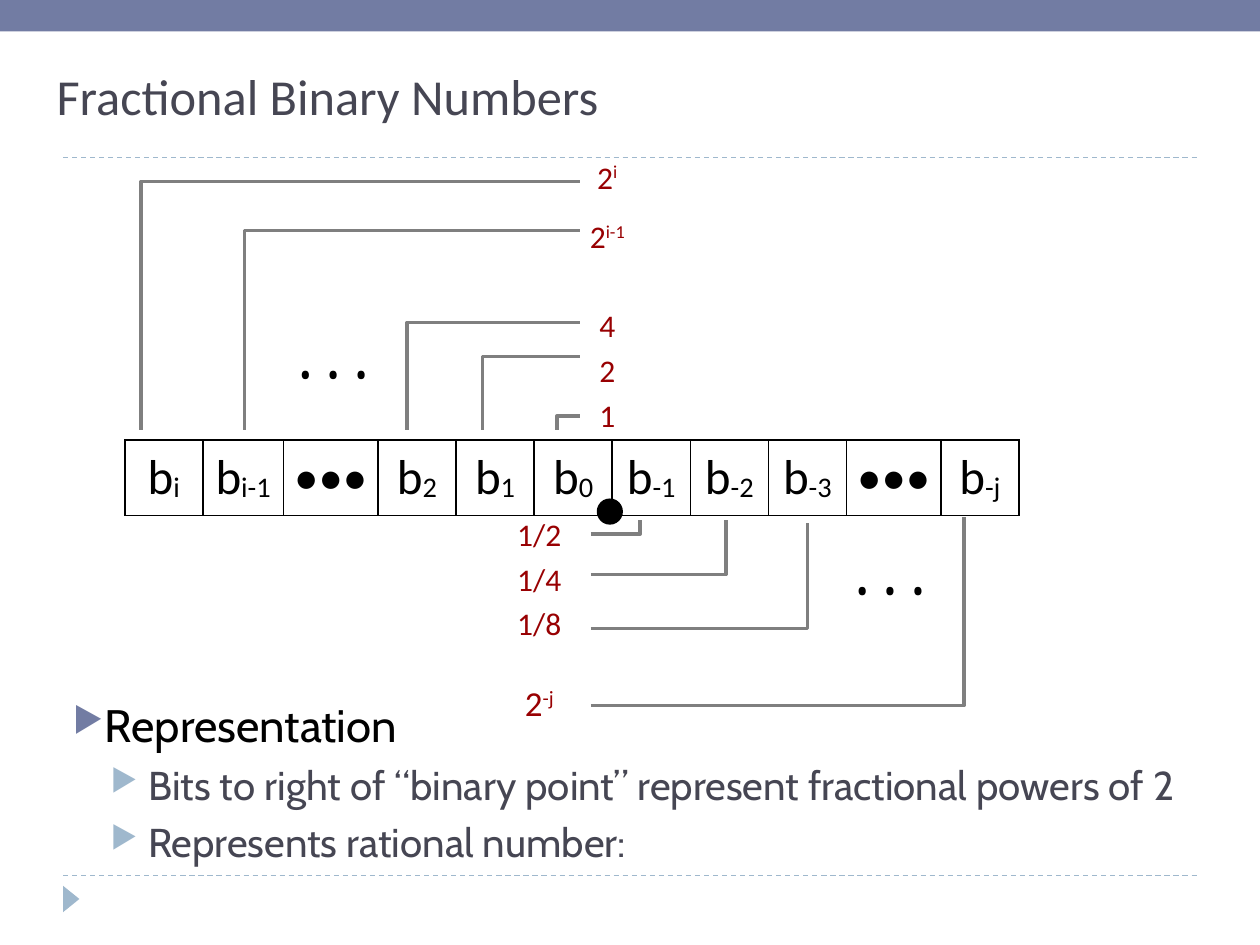
import dataclasses
from typing import Optional

import pptx
import pptx.dml.color
import pptx.enum.dml
import pptx.enum.shapes
import pptx.enum.text
import pptx.oxml
import pptx.oxml.ns
import pptx.util

Inches = pptx.util.Inches
Pt = pptx.util.Pt
RGBColor = pptx.dml.color.RGBColor
Shape = pptx.enum.shapes.MSO_SHAPE
Anchor = pptx.enum.text.MSO_ANCHOR
qn = pptx.oxml.ns.qn

BLACK = RGBColor(0x00, 0x00, 0x00)
WHITE = RGBColor(0xFF, 0xFF, 0xFF)
RED = RGBColor(0x98, 0x00, 0x02)
GRAY = RGBColor(0x7F, 0x7F, 0x7F)
SLATE = RGBColor(0x46, 0x46, 0x53)
INDIGO = RGBColor(0x72, 0x7C, 0xA3)
SKY = RGBColor(0x9F, 0xB8, 0xCD)


@dataclasses.dataclass
class Label:
    main: str = ""
    script: str = ""
    size: float = 18


@dataclasses.dataclass
class Grid:
    left: float
    top: float
    columns: list[float]
    rows: list[float]
    labels: list[Label]
    color: RGBColor
    border: RGBColor
    inset: float
    baseline: int


@dataclasses.dataclass
class Bullet:
    text: str
    size: float
    color: RGBColor
    marker: RGBColor
    margin: float
    indent: float
    before: float
    level: int


deck = pptx.Presentation()
deck.slide_width, deck.slide_height = Inches(10), Inches(7.5)
page = deck.slides.add_slide(deck.slide_layouts[6])


def xml(markup: str):
    return pptx.oxml.parse_xml(markup.replace(
        " ", ' xmlns:a="http://schemas.openxmlformats.org/drawingml/2006/main" ', 1))


def style(span, face: str, size: float, color: RGBColor) -> None:
    span.font.name, span.font.size = face, Pt(size)
    span.font.color.rgb = color


def add_rule(y: float) -> None:
    rule = page.shapes.add_connector(
        pptx.enum.shapes.MSO_CONNECTOR.STRAIGHT, Inches(0.5), Inches(y), Inches(9.5), Inches(y))
    rule.line.color.rgb, rule.line.width = SKY, Pt(0.75)
    rule.line.dash_style = pptx.enum.dml.MSO_LINE.DASH
    rule._element.spPr.append(xml("<a:effectLst />"))


def add_solid(kind, left: float, top: float, width: float, height: float,
              color: RGBColor, rotation: float = 0):
    shape = page.shapes.add_shape(kind, Inches(left), Inches(top), Inches(width), Inches(height))
    shape.shadow.inherit = False
    shape.fill.solid()
    shape.fill.fore_color.rgb = color
    shape.line.fill.background()
    shape.rotation = rotation
    return shape


def add_borders(cell, color: RGBColor) -> None:
    for index, side in enumerate(("lnL", "lnR", "lnT", "lnB")):
        cell._tc.get_or_add_tcPr().insert(index, xml(
            f'<a:{side} w="12700"><a:solidFill><a:srgbClr val="{color}"/>'
            f"</a:solidFill></a:{side}>"))


def add_grid(grid: Grid) -> None:
    table = page.shapes.add_table(
        len(grid.rows), len(grid.columns), Inches(grid.left), Inches(grid.top),
        Inches(sum(grid.columns)), Inches(sum(grid.rows))).table
    table.first_row = table.horz_banding = False
    for column, width in zip(table.columns, grid.columns):
        column.width = Inches(width)
    for row, height in zip(table.rows, grid.rows):
        row.height = Inches(height)
    for cell, label in zip(table.iter_cells(), grid.labels):
        cell.margin_left = cell.margin_right = Inches(grid.inset)
        cell.margin_top = cell.margin_bottom = Inches(grid.inset)
        cell.vertical_anchor = Anchor.MIDDLE
        cell.fill.background()
        add_borders(cell, grid.border)
        para = cell.text_frame.paragraphs[0]
        para.alignment = pptx.enum.text.PP_ALIGN.CENTER
        if not label.main:
            para._p.append(xml('<a:endParaRPr sz="800"/>'))
        for text, baseline in ((label.main, 0), (label.script, grid.baseline)):
            if text:
                span = para.add_run()
                span.text = text
                style(span, "Calibri", label.size, grid.color)
                if baseline:
                    span._r.get_or_add_rPr().set("baseline", str(baseline * 1000))


def add_ellipsis(left: float, top: float, rotation: float = 0) -> None:
    box = add_solid(Shape.RECTANGLE, left, top, 0.61, 0.58, WHITE, rotation)
    frame = box.text_frame
    frame.word_wrap = False
    frame.vertical_anchor = Anchor.MIDDLE
    frame.margin_left = frame.margin_right = Inches(0.04)
    frame.margin_top = frame.margin_bottom = Inches(0.04)
    frame.text = "• • •"
    frame.paragraphs[0].alignment = pptx.enum.text.PP_ALIGN.LEFT
    style(frame.paragraphs[0].runs[0], "Cambria", 24, BLACK)


def add_elbow(label_x: float, level_y: float, bit_x: float, bit_y: float) -> None:
    builder = page.shapes.build_freeform(Inches(label_x), Inches(level_y))
    builder.add_line_segments(
        [(Inches(bit_x), Inches(level_y)), (Inches(bit_x), Inches(bit_y))], close=False)
    elbow = builder.convert_to_shape()
    elbow.shadow.inherit = False
    elbow.fill.background()
    elbow.line.color.rgb, elbow.line.width = GRAY, Pt(2)


def add_text(left: float, top: float, width: float, height: float):
    box = page.shapes.add_textbox(Inches(left), Inches(top), Inches(width), Inches(height))
    box.text_frame.word_wrap = True
    return box.text_frame


def set_indent(para, margin: float, indent: float) -> None:
    properties = para._p.get_or_add_pPr()
    properties.set("marL", str(Inches(margin)))
    properties.set("indent", str(Inches(indent)))


def fill_bullet(para, bullet: Bullet, face: Optional[str] = "Cabin") -> None:
    para.text = bullet.text
    para.level = bullet.level
    para.space_before = Pt(bullet.before)
    set_indent(para, bullet.margin, bullet.indent)
    for markup in (f'<a:buClr ><a:srgbClr val="{bullet.marker}"/></a:buClr>',
                   '<a:buSzPct val="76000"/>', '<a:buChar char="▶"/>'):
        para._p.get_or_add_pPr().append(xml(markup))
    style(para.runs[0], face, bullet.size, bullet.color)


# Page frame
add_rule(6.95)
add_rule(1.25)
add_solid(Shape.ISOSCELES_TRIANGLE, 0.46, 7.07, 0.21, 0.13, SKY, 90)

# Weights above and below, then the row of bits
whole = [Label("2", "i"), Label("2", "i-1"), Label(), Label("4"), Label("2"), Label("1")]
fractions = [Label("1/2"), Label("1/4"), Label("1/8"), Label(), Label("2", "-j", 20)]
bits = [Label("b", name, 28) if name else Label("•••", size=28)
        for name in ("i", "i-1", "", "2", "1", "0", "-1", "-2", "-3", "", "-j")]
add_grid(Grid(4.5, 1.18, [0.64], [0.47, 0.47, 0.29] + [0.36] * 3, whole, RED, WHITE, 0, 32))
add_grid(Grid(3.92, 4.08, [0.72], [0.35] * 3 + [0.22, 0.49], fractions, RED, WHITE, 0, 32))
add_grid(Grid(0.99, 3.49, [0.62, 0.64, 0.75] + [0.62] * 6 + [0.75, 0.62], [0.6],
              bits, BLACK, BLACK, 0.06, -6))

# Top band and title
add_solid(Shape.RECTANGLE, 0, 0, 10.01, 0.25, INDIGO)
add_ellipsis(6.79, 4.44, 180)
title = add_text(0.35, 0.45, 7.51, 0.6)
title.vertical_anchor = Anchor.BOTTOM
title.text = "Fractional Binary Numbers"
set_indent(title.paragraphs[0], 0.09, -0.09)
style(title.paragraphs[0].runs[0], "Calibri", 28.8, SLATE)

# Explanation
body = add_text(0.48, 5.48, 9.27, 2.02)
for number, item in enumerate((
        Bullet("Representation", 26, BLACK, INDIGO, 0.24, -0.24, 0, 0),
        Bullet("Bits to right of “binary point” represent fractional powers of 2",
               23, SLATE, SKY, 0.6, -0.3, 5, 1),
        Bullet("Represents rational number:", 23, SLATE, SKY, 0.6, -0.3, 5, 1))):
    fill_bullet(body.add_paragraph() if number else body.paragraphs[0], item)

# Elbows from weights to bits
for level_y, bit_x in ((3.3, 4.42), (2.83, 3.83), (2.56, 3.23), (1.83, 1.94), (1.44, 1.12)):
    add_elbow(4.6, level_y, bit_x, 3.41)
add_ellipsis(2.31, 2.65)
for level_y, bit_x, bit_y in ((4.24, 5.08, 4.13), (4.56, 5.76, 4.13),
                              (4.99, 6.41, 4.15), (5.6, 7.65, 4.1)):
    add_elbow(4.69, level_y, bit_x, bit_y)

# Binary point
point = add_solid(Shape.OVAL, 4.75, 3.97, 0.18, 0.18, BLACK)
point.line.color.rgb, point.line.width = BLACK, Pt(2)

deck.save("out.pptx")
